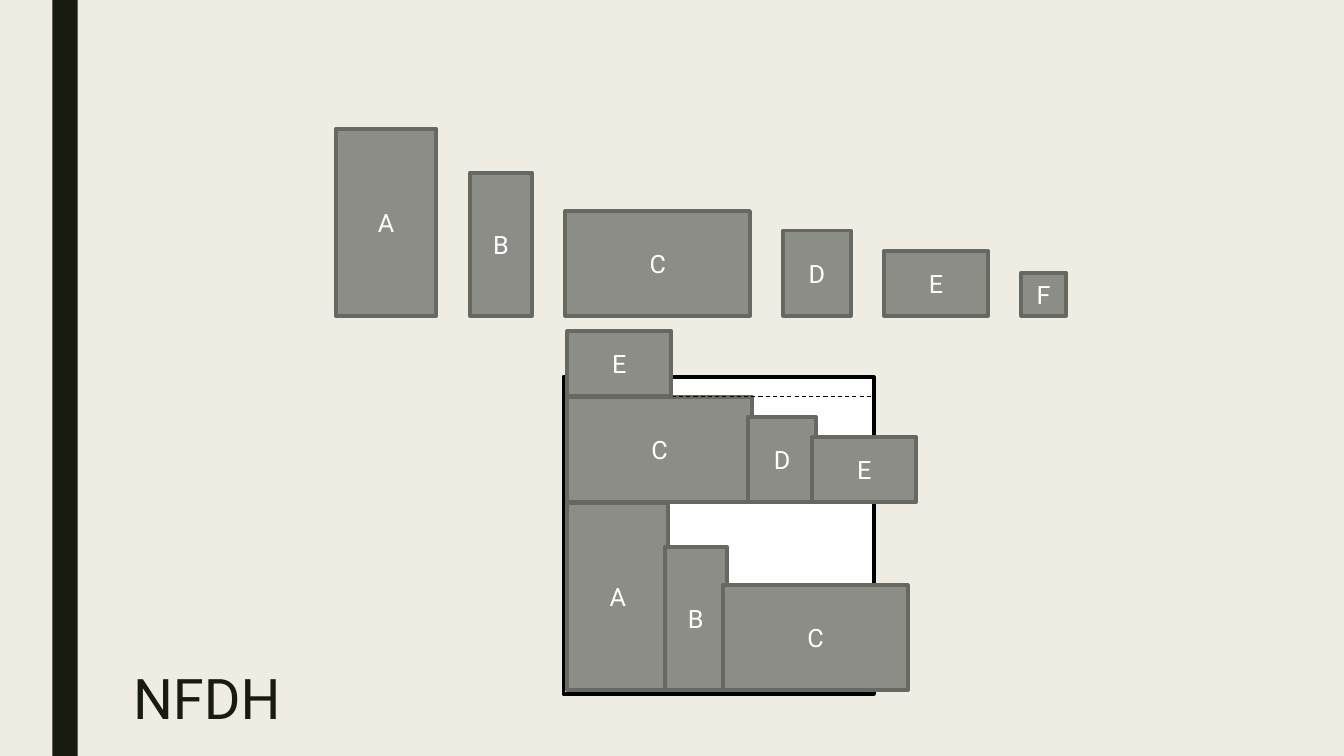
"""Build the NFDH slide: boxes sorted by height and packed on shelves."""
from dataclasses import dataclass

from lxml import etree
from pptx import Presentation
from pptx.dml.color import RGBColor
from pptx.enum.dml import MSO_LINE
from pptx.enum.shapes import MSO_CONNECTOR, MSO_SHAPE
from pptx.enum.text import MSO_ANCHOR, PP_ALIGN
from pptx.oxml.ns import qn
from pptx.util import Cm, Pt


@dataclass(frozen=True)
class Theme:
    font: str = "Roboto"
    title_size: int = 40
    label_size: int = 18
    outline: float = 2.75
    hairline: float = 0.75
    background: str = "EFEDE3"
    dark: str = "191B0E"
    box: str = "8C8D86"
    box_edge: str = "686863"
    white: str = "FFFFFF"
    black: str = "000000"


BOX_SIZES = {
    "A": (2.54, 4.70),
    "B": (1.57, 3.61),
    "C": (4.65, 2.64),
    "D": (1.70, 2.15),
    "E": (2.62, 1.63),
    "F": (1.12, 1.09),
}
SORTED_GAP = 0.84
PACKED_GAP = -0.09
BIN_LEFT, BIN_TOP, BIN_WIDTH, BIN_HEIGHT = 14.2, 9.5, 7.82, 7.98
SHELF_LEFT = BIN_LEFT + 0.1
SHELVES = [("ABC", 17.39, 12.67), ("CDE", 12.65, 9.98), ("E", 9.98, None)]


class SlideBuilder:
    def __init__(self, slide, theme):
        self.slide = slide
        self.theme = theme
        fill = slide.background.fill
        fill.solid()
        fill.fore_color.rgb = RGBColor.from_string(theme.background)

    def add_text(self, paragraph, text, size, color):
        run = paragraph.add_run()
        run.text = text
        run.font.name = self.theme.font
        run.font.size = Pt(size)
        run.font.color.rgb = RGBColor.from_string(color)

    def title(self, text, left, top, width, height):
        title = self.slide.shapes.title
        title.left, title.top = Cm(left), Cm(top)
        title.width, title.height = Cm(width), Cm(height)
        title.text_frame.vertical_anchor = MSO_ANCHOR.TOP
        paragraph = title.text_frame.paragraphs[0]
        paragraph.alignment = PP_ALIGN.LEFT
        paragraph.line_spacing = 0.89
        self.add_text(paragraph, text, self.theme.title_size, self.theme.dark)

    def rectangle(self, left, top, width, height, fill, edge=None):
        shape = self.slide.shapes.add_shape(
            MSO_SHAPE.RECTANGLE, Cm(left), Cm(top), Cm(width), Cm(height))
        shape.shadow.inherit = False
        shape.fill.solid()
        shape.fill.fore_color.rgb = RGBColor.from_string(fill)
        if edge:
            shape.line.color.rgb = RGBColor.from_string(edge)
            shape.line.width = Pt(self.theme.outline)
        else:
            shape.line.fill.background()
        return shape

    def box_row(self, letters, left, bottom, gap):
        for letter in letters:
            width, height = BOX_SIZES[letter]
            box = self.rectangle(left, bottom - height, width, height,
                                 self.theme.box, self.theme.box_edge)
            box.text_frame.vertical_anchor = MSO_ANCHOR.MIDDLE
            paragraph = box.text_frame.paragraphs[0]
            paragraph.alignment = PP_ALIGN.CENTER
            self.add_text(paragraph, letter, self.theme.label_size, self.theme.white)
            left += width + gap

    def dashed_line(self, left, right, y):
        line = self.slide.shapes.add_connector(
            MSO_CONNECTOR.STRAIGHT, Cm(left), Cm(y), Cm(right), Cm(y))
        line.line.color.rgb = RGBColor.from_string(self.theme.black)
        line.line.width = Pt(self.theme.hairline)
        line.line.dash_style = MSO_LINE.DASH
        etree.SubElement(line._element.spPr, qn("a:effectLst"))


def main():
    theme = Theme()
    deck = Presentation()
    deck.slide_width, deck.slide_height = Cm(33.87), Cm(19.05)
    page = SlideBuilder(deck.slides.add_slide(deck.slide_layouts[5]), theme)

    page.rectangle(1.32, 0, 0.64, 19.05, theme.dark)
    page.title("NFDH", 3.1, 16.81, 24.94, 2.03)
    page.box_row(BOX_SIZES, 8.46, 7.96, SORTED_GAP)
    page.rectangle(BIN_LEFT, BIN_TOP, BIN_WIDTH, BIN_HEIGHT, theme.white, theme.black)
    for letters, bottom, ceiling in SHELVES:
        page.box_row(letters, SHELF_LEFT, bottom, PACKED_GAP)
        if ceiling:
            page.dashed_line(BIN_LEFT, BIN_LEFT + BIN_WIDTH + 0.04, ceiling)

    deck.save("out.pptx")


main()
